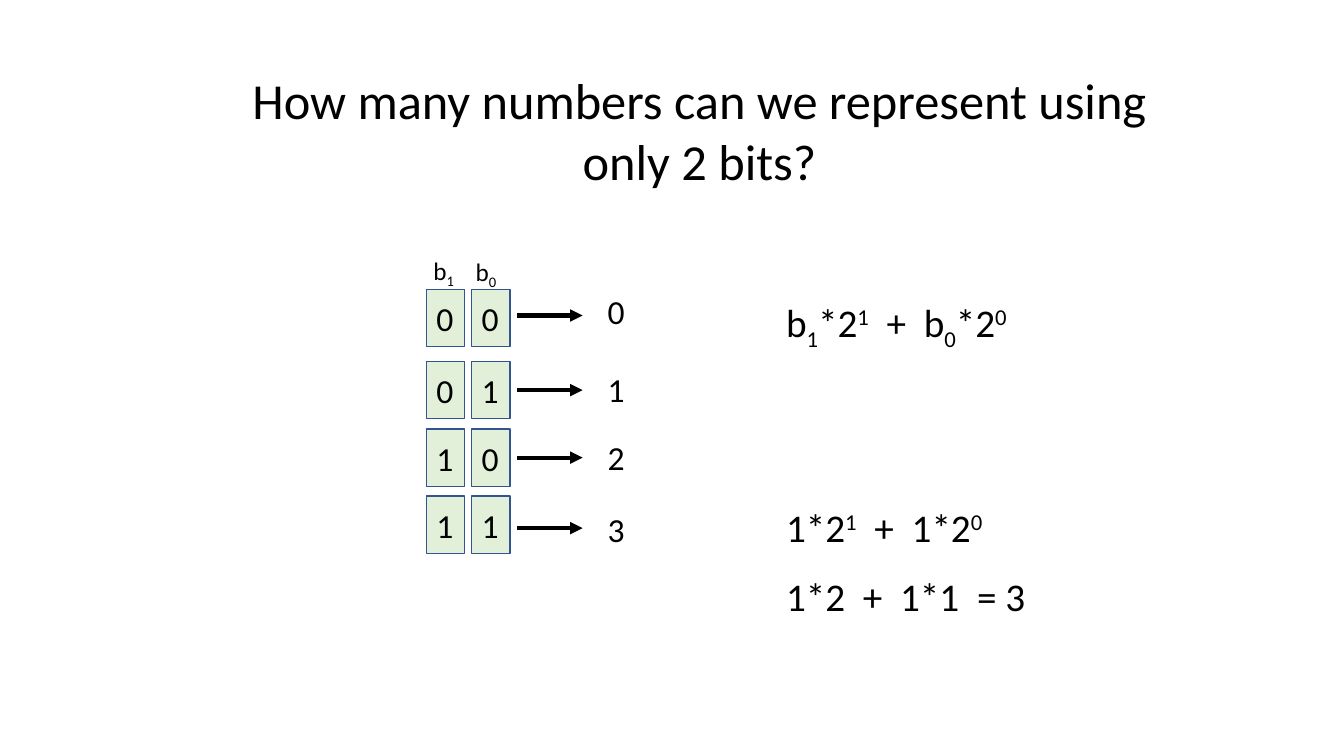
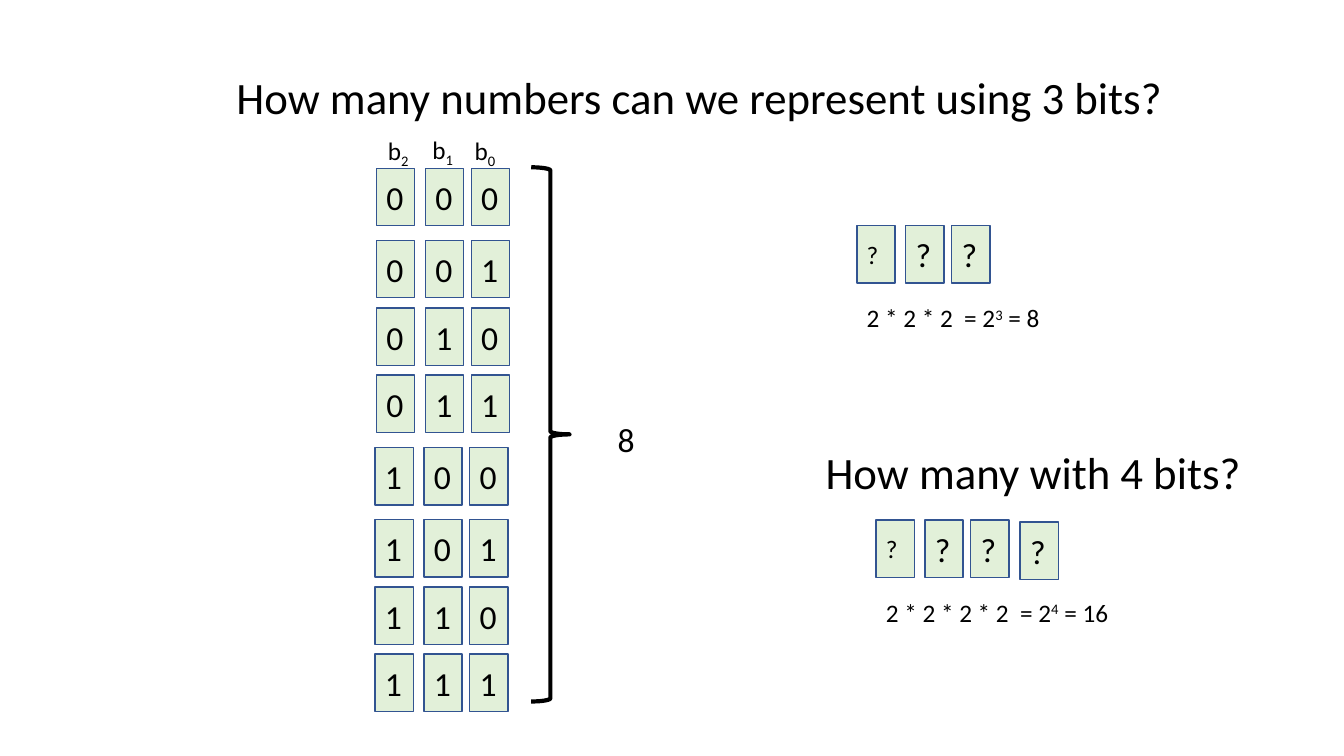
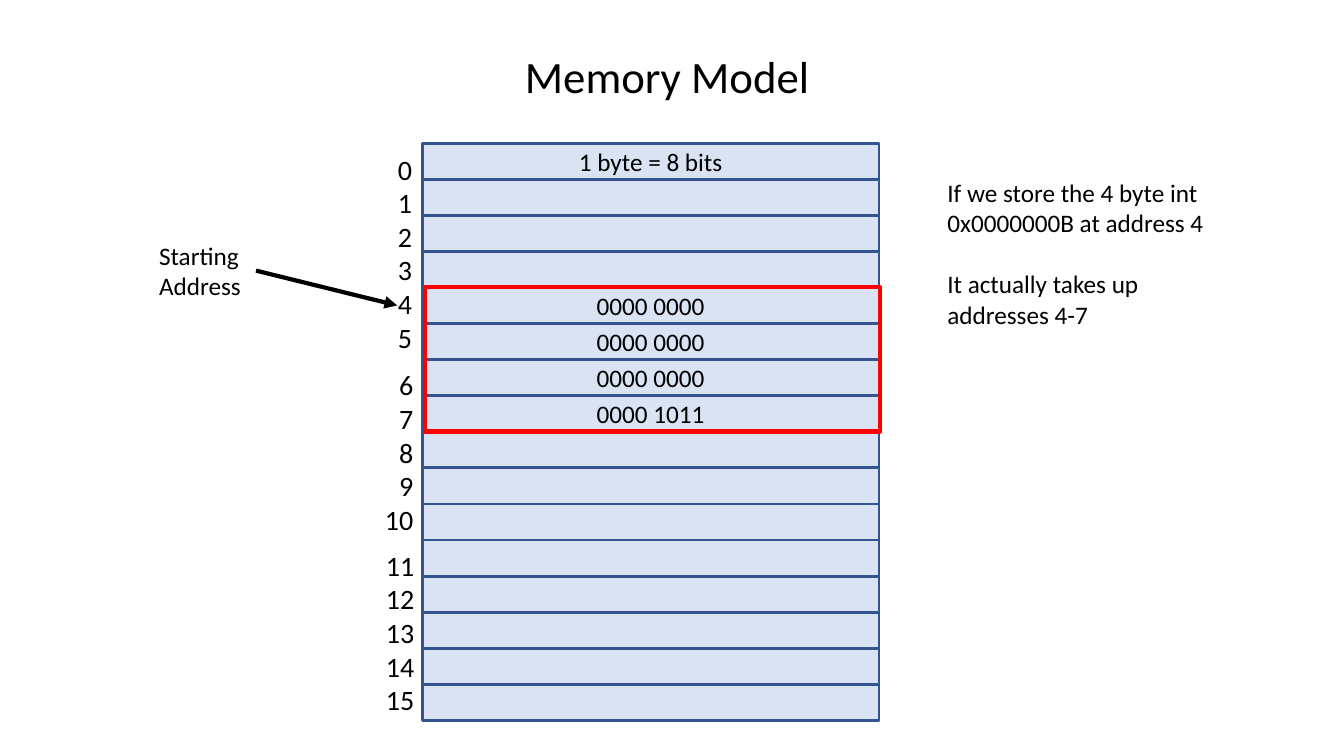
from dataclasses import dataclass

from pptx import Presentation, util as u
from pptx.dml.color import RGBColor
from pptx.enum import shapes, text
from pptx.oxml.ns import qn


@dataclass(frozen=True)
class Theme:
    """Colours, font, type sizes and line widths shared by all slides."""
    font: str = "Calibri"
    ink: str = "000000"
    edge: str = "325491"
    bit: str = "E2F0D9"
    byte: str = "DAE3F3"
    mark: str = "FF0000"
    headline: int = 36
    title: int = 32
    formula: int = 28
    digit: int = 24
    address: int = 20
    body: int = 18
    thin: int = 1
    medium: int = 2
    thick: int = 3


THEME = Theme()
CELL = u.Inches(0.1)
COLUMNS, ROWS = 133.33, 75
BIT_WIDTH, BIT_HEIGHT = 3.8, 5.7
BIT_LEFTS = (0, 4.85, 9.4)
BIT_TOPS = (0, 7.15, 13.85, 20.5)
BYTE_LEFT, BYTE_TOP, BYTE_WIDTH, BYTE_HEIGHT = 41.9, 14.2, 45.3, 3.58
BASELINES = {"_": "-25000", "^": "30000"}


def cells(*counts):
    """Convert counts of grid cells to slide lengths."""
    return [u.Emu(round(count * CELL)) for count in counts]


def split_marks(line):
    """Split text into (text, baseline) pairs; _ lowers and ^ raises the next character."""
    pieces, plain, mark = [], "", None
    for letter in line:
        if mark:
            pieces += [(plain, None), (letter, BASELINES[mark])]
            plain, mark = "", None
        elif letter in BASELINES:
            mark = letter
        else:
            plain += letter
    return [piece for piece in pieces + [(plain, None)] if piece[0]]


def write(box, lines, size, align=text.PP_ALIGN.LEFT, gap=0):
    """Fill a box with one paragraph per line."""
    frame = box.text_frame
    for index, line in enumerate(lines):
        para = frame.add_paragraph() if index else frame.paragraphs[0]
        para.alignment = align
        para.space_before = u.Pt(gap if index else 0)
        para.font.name = THEME.font
        para.font.size = u.Pt(size)
        para.font.color.rgb = RGBColor.from_string(THEME.ink)
        for piece, baseline in split_marks(line):
            span = para.add_run()
            span.text = piece
            if baseline:
                span._r.get_or_add_rPr().set("baseline", baseline)


def add_label(page, place, lines, size, wrap=False, **style):
    """Add a text box that grows with its text."""
    box = page.shapes.add_textbox(*cells(*place))
    box.text_frame.word_wrap = wrap
    box.text_frame.auto_size = text.MSO_AUTO_SIZE.SHAPE_TO_FIT_TEXT
    write(box, lines, size, **style)
    return box


def add_title(page, left, top, height, line, size=THEME.title):
    """Add a centred heading."""
    add_label(page, (left, top, 97.4, height), [line], size, wrap=True,
              align=text.PP_ALIGN.CENTER)


def add_figure(page, place, line, weight, fill=None, kind=shapes.MSO_SHAPE.RECTANGLE):
    """Add an outlined preset shape, filled if a colour is given."""
    figure = page.shapes.add_shape(kind, *cells(*place))
    figure.shadow.inherit = False
    figure.line.color.rgb = RGBColor.from_string(line)
    figure.line.width = u.Pt(weight)
    if fill:
        figure.fill.solid()
        figure.fill.fore_color.rgb = RGBColor.from_string(fill)
    else:
        figure.fill.background()
    return figure


def add_bit(page, left, top, digit, size=THEME.digit):
    """Add one bit cell."""
    box = add_figure(page, (left, top, BIT_WIDTH, BIT_HEIGHT), THEME.edge, THEME.thin, THEME.bit)
    box.text_frame.vertical_anchor = text.MSO_ANCHOR.MIDDLE
    write(box, [digit], size)


def add_bit_row(page, lefts, top, digits):
    """Add a row of bit cells."""
    for left, digit in zip(lefts, digits):
        add_bit(page, left, top, digit)


def add_arrow(page, start, end):
    """Add a thick line with an arrowhead at its end."""
    arrow = page.shapes.add_connector(shapes.MSO_CONNECTOR.STRAIGHT, *cells(*start, *end))
    arrow.line.color.rgb = RGBColor.from_string(THEME.ink)
    arrow.line.width = u.Pt(THEME.thick)
    outline = arrow.line._get_or_add_ln()
    outline.append(outline.makeelement(qn("a:tailEnd"), {"type": "triangle"}))
    properties = arrow._element.spPr
    properties.append(properties.makeelement(qn("a:effectLst"), {}))
    return arrow


def add_bit_names(page, names):
    """Add the headings above the bit columns."""
    for left, top, name in names:
        add_label(page, (left, top, 4.2, 4), [name], THEME.body)


def add_unknown_bits(page, left, top, formula, width):
    """Add three open bits and the count of their values."""
    for index, offset in enumerate(BIT_LEFTS):
        add_bit(page, left + offset, top, "?", THEME.digit if index else THEME.body)
    add_label(page, (left, top + 7.15, width, 4), [formula], THEME.body)


def build_two_bits(page):
    """Show the four values of two bits."""
    add_title(page, 20.7, 6.4, 13.1, "How many numbers can we represent using only 2 bits?",
              THEME.headline)
    arrow_tops = (31.3, 38.7, 45.4, 52.4)
    value_tops = (28.4, 36.1, 42.9, 50)
    for value, (top, arrow_top, value_top) in enumerate(zip(BIT_TOPS, arrow_tops, value_tops)):
        add_bit_row(page, (42.3, 46.8), 28.7 + top, f"{value:02b}")
        add_arrow(page, (51.3, arrow_top), (57.8, arrow_top))
        add_label(page, (59.3, value_top, 3.7, 5), [str(value)], THEME.digit)
    add_bit_names(page, [(46.2, 24.9, "b_0"), (42, 24.8, "b_1")])
    formulas = ((29.1, "b_1*2^1  +  b_0*2^0"), (49.4, "1*2^1  +  1*2^0"),
                (56.3, "1*2  +  1*1  = 3"))
    for top, formula in formulas:
        add_label(page, (77, top, 35, 5.7), [formula], THEME.formula, wrap=True)


def build_three_bits(page):
    """Show the eight values of three bits and ask about four."""
    add_title(page, 20.7, 6.4, 6.4, "How many numbers can we represent using 3 bits?")
    for value in range(8):
        block, row = divmod(value, len(BIT_TOPS))
        lefts = [37.35 - 0.15 * block + offset for offset in BIT_LEFTS]
        add_bit_row(page, lefts, 16.7 + 27.7 * block + BIT_TOPS[row], f"{value:03b}")
    add_bit_names(page, [(46.1, 12.9, "b_0"), (41.9, 12.8, "b_1"), (37.5, 12.9, "b_2")])
    add_figure(page, (52.7, 16.6, 3.8, 53), THEME.ink, THEME.thick,
               kind=shapes.MSO_SHAPE.RIGHT_BRACE)
    add_label(page, (60.3, 41.1, 3.7, 5), ["8"], THEME.digit)
    add_unknown_bits(page, 85, 22.4, "2 * 2 * 2  = 2^3 = 8", 20)
    add_unknown_bits(page, 86.9, 51.6, "2 * 2 * 2 * 2  = 2^4 = 16", 24.9)
    add_title(page, 53.8, 43.6, 6.4, "How many with 4 bits?")
    add_bit(page, 101.2, 51.8, "?")


def build_memory(page):
    """Show sixteen byte addresses with one stored integer."""
    add_title(page, 18, 4.3, 6.4, "Memory Model ")
    contents = {0: "1 byte = 8 bits", 4: "0000 0000", 5: "0000 0000",
                6: "0000 0000", 7: "0000 1011"}
    for address in range(16):
        place = (BYTE_LEFT, BYTE_TOP + address * BYTE_HEIGHT, BYTE_WIDTH, BYTE_HEIGHT)
        byte = add_figure(page, place, THEME.edge, THEME.medium, THEME.byte)
        if address in contents:
            byte.text_frame.vertical_anchor = text.MSO_ANCHOR.MIDDLE
            write(byte, [contents[address]], THEME.body, text.PP_ALIGN.CENTER)
    left, right = text.PP_ALIGN.LEFT, text.PP_ALIGN.RIGHT
    address_lists = (((38.5, 14.6, 3.4, 21.2), range(6), left),
                     ((37.1, 36, 4.9, 20.9), range(6, 11), right),
                     ((37.3, 53.9, 4.9, 17.8), range(11, 16), left))
    for place, addresses, align in address_lists:
        add_label(page, place, map(str, addresses), THEME.address, align=align)
    add_label(page, (93, 17.1, 27.8, 19.2),
              ["If we store the 4 byte int 0x0000000B at address 4",
               "It actually takes up addresses 4-7"], THEME.body, wrap=True, gap=22)
    add_figure(page, (42.2, 28.5, 45.1, 4 * BYTE_HEIGHT), THEME.mark, THEME.thick)
    start = add_label(page, (14.8, 23.3, 10.6, 7.1), ["Starting Address"], THEME.body, wrap=True)
    add_arrow(page, (25.4, 26.8), (39.4, 30.3)).begin_connect(start, 3)


def main():
    """Build and save the deck."""
    deck = Presentation()
    deck.slide_width, deck.slide_height = cells(COLUMNS, ROWS)
    blank = deck.slide_layouts[6]
    for build in (build_two_bits, build_three_bits, build_memory):
        build(deck.slides.add_slide(blank))
    deck.save("out.pptx")


if __name__ == "__main__":
    main()
